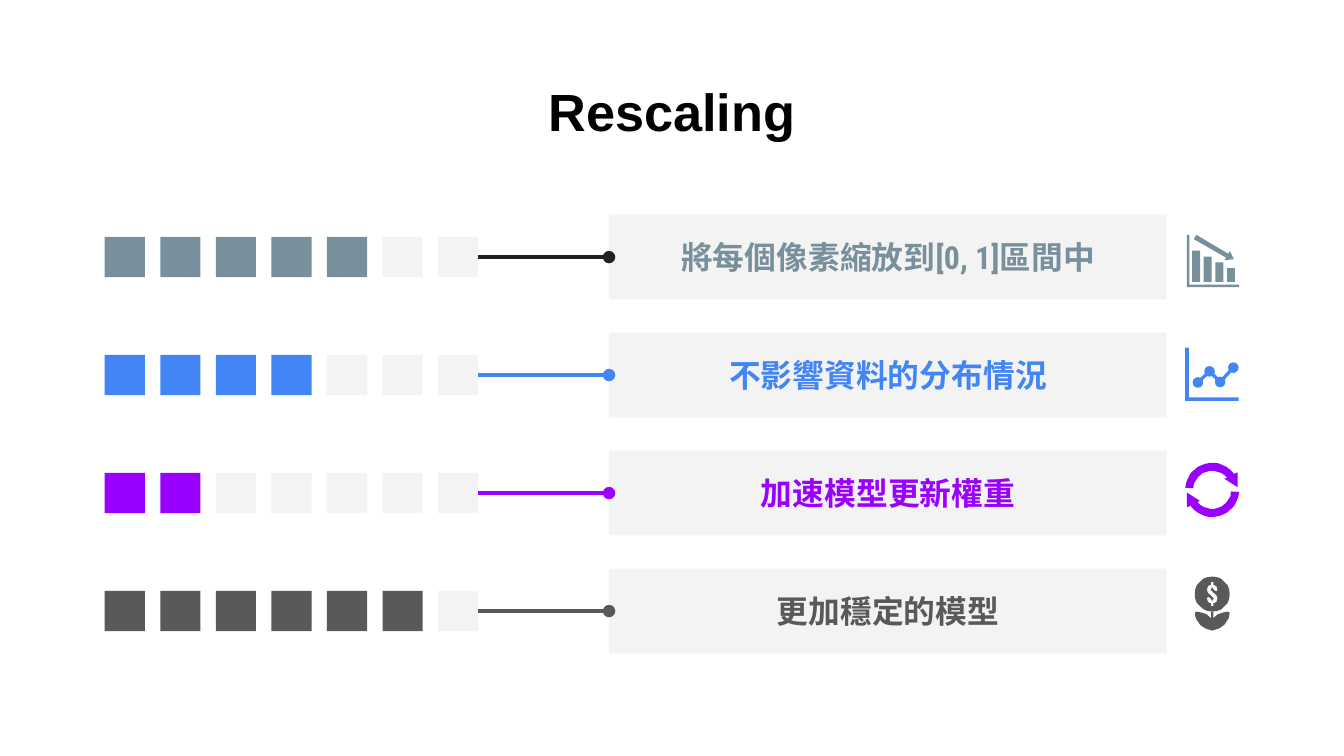
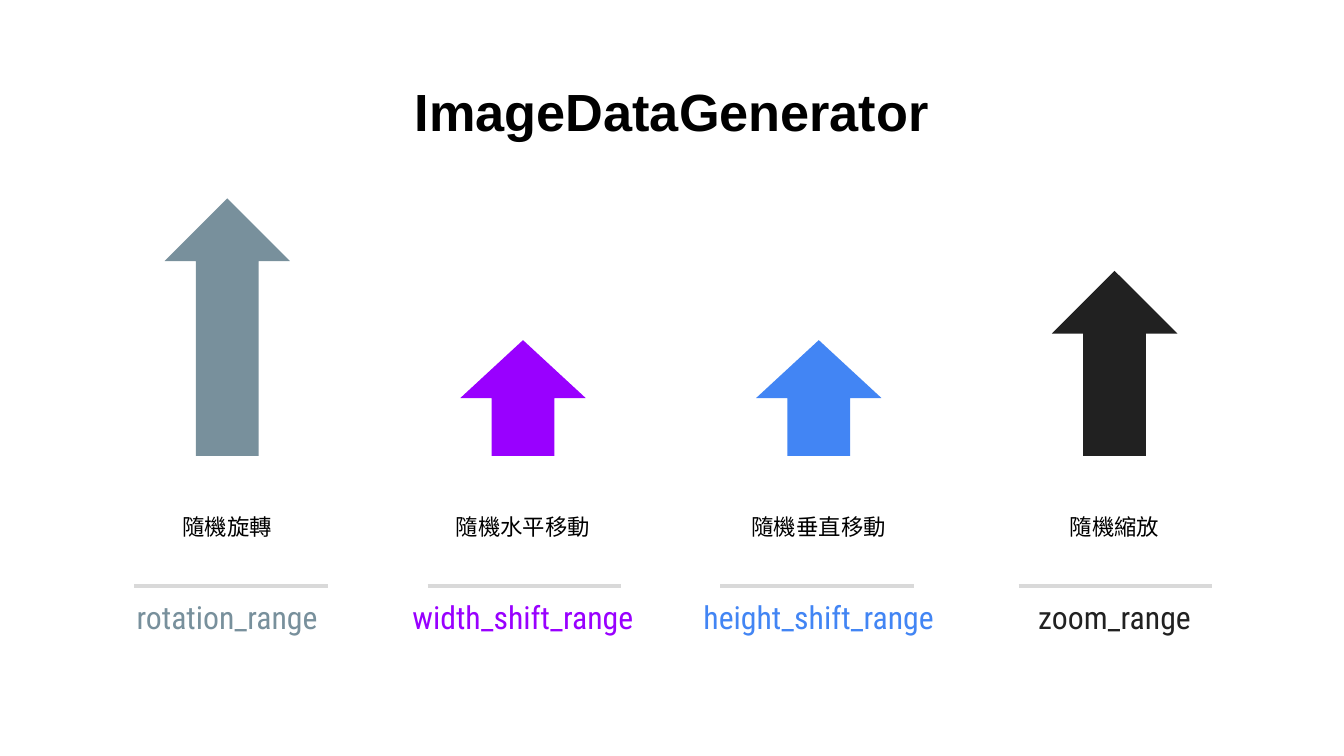
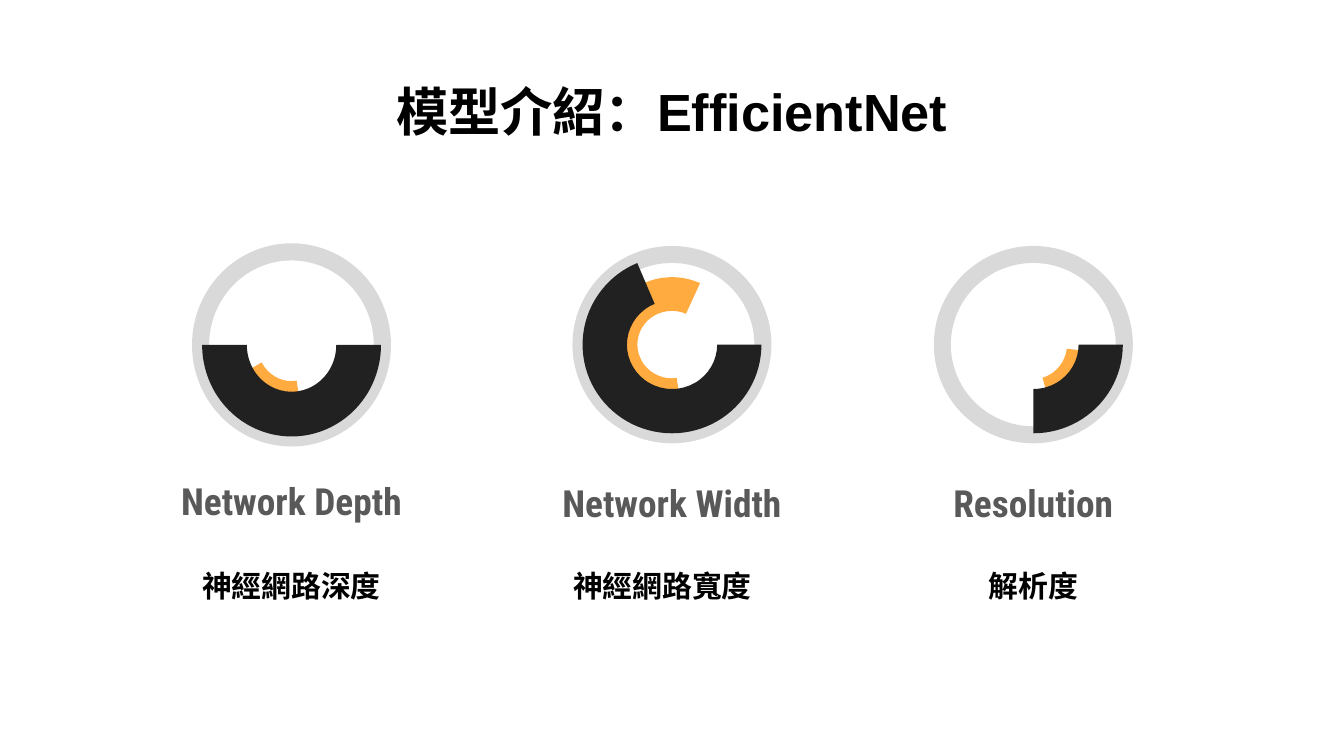
from collections import namedtuple
from math import cos, radians, sin

from lxml import etree
from pptx import Presentation
from pptx import util as u
from pptx.dml.color import RGBColor
from pptx.enum import shapes, text
from pptx.oxml.ns import qn

COLORS = {
    "black": "000000", "ink": "212121", "gray": "595959", "slate": "78909C",
    "blue": "4285F4", "purple": "9900FF", "orange": "FFAB40",
    "pale": "F3F3F3", "rule": "D9D9D9",
}
TITLE_FONT, BODY_FONT, LABEL_FONT = "Arial", "Roboto", "Roboto Condensed"
KIND = shapes.MSO_SHAPE
ICON_UNIT = u.Cm(0.01)

# All measures are centimetres
Box = namedtuple("Box", "left top width height")


def rgb(color):
    return RGBColor.from_string(COLORS[color])


# Shared building parts
def paint(shape, color):
    shape.shadow.inherit = False
    shape.fill.solid()
    shape.fill.fore_color.rgb = rgb(color)
    shape.line.fill.background()
    return shape


def add_shape(page, kind, box, color, adjustments=(), rotation=0):
    shape = page.shapes.add_shape(kind, *map(u.Cm, box))
    for index, value in enumerate(adjustments):
        shape.adjustments[index] = value
    shape.rotation = rotation
    return paint(shape, color)


def add_text(page, box, words, size, font, color, bold=False,
             anchor=text.MSO_ANCHOR.TOP, side=0.25, grow=False):
    frame = page.shapes.add_textbox(*map(u.Cm, box)).text_frame
    frame.word_wrap = True
    frame.vertical_anchor = anchor
    frame.margin_left = frame.margin_right = u.Cm(side)
    frame.margin_top = frame.margin_bottom = u.Cm(0.25)
    if grow:
        frame.auto_size = text.MSO_AUTO_SIZE.SHAPE_TO_FIT_TEXT
    frame.text = words
    para = frame.paragraphs[0]
    para.alignment = text.PP_ALIGN.CENTER
    for span in para.runs:
        span.font.name = font
        span.font.size = u.Pt(size)
        span.font.bold = bold
        span.font.color.rgb = rgb(color)


def add_line(page, start, end, color, dot=False):
    line = page.shapes.add_connector(
        shapes.MSO_CONNECTOR.STRAIGHT, *map(u.Cm, start + end))
    line.line.color.rgb = rgb(color)
    line.line.width = u.Pt(2.25)
    if dot:
        etree.SubElement(line.line._get_or_add_ln(), qn("a:tailEnd"), type="oval")
    etree.SubElement(line._element.spPr, qn("a:effectLst"))
    return line


def add_page(deck, title):
    page = deck.slides.add_slide(deck.slide_layouts[6])
    add_text(page, Box(0.86, 1.24, 23.67, 1.6), title, 28, TITLE_FONT, "black", True)
    return page


# Icons, outlined in hundredths of a centimetre from their top left corner
def draw_outline(page, box, contours, close=True):
    builder = page.shapes.build_freeform(*contours[0][0], scale=ICON_UNIT)
    builder.add_line_segments(contours[0][1:], close=close)
    for contour in contours[1:]:
        builder.move_to(*contour[0])
        builder.add_line_segments(contour[1:], close=close)
    return builder.convert_to_shape(u.Cm(box.left), u.Cm(box.top))


def arc(center, radius, start, end, steps=24):
    angles = [radians(start + (end - start) * i / steps) for i in range(steps + 1)]
    return [(center + radius * cos(a), center + radius * sin(a)) for a in angles]


def turned(points, center):
    return [(2 * center - x, 2 * center - y) for x, y in points]


def axes(size, thick):
    inner = size - thick
    return [(0, 0), (thick, 0), (thick, inner), (size, inner), (size, size), (0, size)]


def draw_bars_icon(page, box, color):
    bars = []
    for i in range(4):
        left, top = 10 + 22 * i, 30 + 11 * i
        bars.append([(left, top), (left + 15, top), (left + 15, 89), (left, 89)])
    arrow = [(18, 0), (79, 36), (81, 30), (89, 46), (71, 48), (74, 43), (13, 8)]
    paint(draw_outline(page, box, [axes(99, 5), arrow] + bars), color)


def draw_trend_icon(page, box, color):
    paint(draw_outline(page, box, [axes(101, 7)]), color)
    points = [(24, 66), (46, 45), (66, 65), (91, 38)]
    trend = draw_outline(page, box, [points], close=False)
    trend.shadow.inherit = False
    trend.fill.background()
    trend.line.color.rgb = rgb(color)
    trend.line.width = u.Pt(1.75)
    for x, y in points:
        dot = Box(box.left + x / 100 - 0.1, box.top + y / 100 - 0.1, 0.2, 0.2)
        add_shape(page, KIND.OVAL, dot, color)


def draw_cycle_icon(page, box, color):
    head = [(94, 20), (99, 18), (99, 46), (74, 30), (79, 28)]
    half = arc(51, 51, 184, 324) + head + arc(51, 36, 321, 184)
    paint(draw_outline(page, box, [half, turned(half, 51)]), color)


def draw_coin_plant_icon(page, box, color):
    dollar = [(31, 10), (35, 10), (35, 15), (41, 18), (43, 25), (41, 28), (36, 25),
              (33, 20), (30, 25), (35, 30), (41, 35), (43, 41), (41, 48), (35, 51)]
    leaf = [(31, 65), (31, 79), (28, 76), (22, 71), (13, 68), (3, 66), (0, 69),
            (2, 79), (10, 91), (20, 98), (33, 102)]
    leaves = leaf + [(66 - x, y) for x, y in reversed(leaf)]
    contours = [arc(33, 33, 0, 360), dollar + turned(dollar, 33), leaves]
    paint(draw_outline(page, box, contours), color)


# Rescaling: rows of squares leading to a panel
def draw_scale_row(page, box, words, color, filled, line_color):
    for i in range(7):
        square = add_shape(
            page, KIND.RECTANGLE,
            Box(box.left + 1.05 * i, box.top + 0.42, 0.76, 0.76),
            color if i < filled else "pale")
    panel_box = Box(box.left + 9.53, box.top, 10.54, box.height)
    panel = add_shape(page, KIND.RECTANGLE, panel_box, "pale")
    add_text(page, Box(panel_box.left + 0.4, box.top + 0.2, 9.75, 1.19), words, 17,
             LABEL_FONT, color, True, text.MSO_ANCHOR.MIDDLE)
    middle = box.top + box.height / 2
    link = add_line(page, (box.left + 7.06, middle), (panel_box.left, middle),
                    line_color, dot=True)
    link.begin_connect(square, 3)
    link.end_connect(panel, 1)


def build_rescaling(deck):
    page = add_page(deck, "Rescaling")
    rows = [
        ("將每個像素縮放到[0, 1]區間中", "slate", 5, "ink", draw_bars_icon, 20.45, 0.38),
        ("不影響資料的分布情況", "blue", 4, "blue", draw_trend_icon, 20.42, 0.28),
        ("加速模型更新權重", "purple", 2, "purple", draw_cycle_icon, 20.42, 0.23),
        ("更加穩定的模型", "gray", 6, "gray", draw_coin_plant_icon, 20.6, 0.15),
    ]
    for i, (words, color, filled, line_color, draw_icon, dx, dy) in enumerate(rows):
        box = Box(1.98, 4.06 + 2.23 * i, 21.46, 1.6)
        draw_scale_row(page, box, words, color, filled, line_color)
        draw_icon(page, Box(box.left + dx, box.top + dy, 1, 1), color)


# ImageDataGenerator: columns with an arrow above each parameter
def draw_parameter(page, box, name, words, color, arrow_height, rule_offset):
    arrow_width = 2.37
    arrow_base = box.top + 4.87
    rule_top = box.top + 7.32
    add_shape(page, KIND.UP_ARROW,
              Box(box.left + (box.width - arrow_width) / 2,
                  arrow_base - arrow_height, arrow_width, arrow_height), color)
    add_text(page, Box(box.left, box.top + 5.5, box.width, 1.4), words, 12,
             BODY_FONT, "black", anchor=text.MSO_ANCHOR.MIDDLE, side=0.76)
    add_text(page, Box(box.left, rule_top, box.width, 1.19), name, 17,
             LABEL_FONT, color, anchor=text.MSO_ANCHOR.MIDDLE)
    rule_left = box.left + rule_offset
    add_line(page, (rule_left, rule_top), (rule_left + 3.66, rule_top), "rule")


def build_generator(deck):
    page = add_page(deck, "ImageDataGenerator")
    parameters = [
        ("rotation_range", "隨機旋轉", "slate", 4.87, 0.91),
        ("width_shift_range", "隨機水平移動", "purple", 2.19, 0.86),
        ("height_shift_range", "隨機垂直移動", "blue", 2.19, 0.8),
        ("zoom_range", "隨機縮放", "ink", 3.5, 0.85),
    ]
    for i, parameter in enumerate(parameters):
        draw_parameter(page, Box(1.63 + 5.59 * i, 3.75, 5.33, 8.51), *parameter)


# EfficientNet: ring gauges with two captions
def draw_arc(page, box, inset, color, start, end, thickness, rotation):
    ring = Box(box.left + inset, box.top + inset,
               box.width - 2 * inset, box.height - 2 * inset)
    # Adjustments count 60000ths of a degree in units of 100000
    add_shape(page, KIND.BLOCK_ARC, ring, color,
              (start * 0.6, end * 0.6, thickness), rotation)


def draw_gauge(page, box, inner_end, inner_turn, outer_end):
    draw_arc(page, box, 0.59, "orange", 81.84, inner_end, 0.25, inner_turn)
    add_shape(page, KIND.DONUT, box, "rule", (0.086,))
    draw_arc(page, box, 0.19, "ink", 180, outer_end, 0.25, 180)


def draw_captions(page, box, name, name_width, words, font, shift):
    center = box.left + box.width / 2
    add_text(page, Box(center - name_width / 2, box.top + 4.18, name_width, 1.37),
             name, 20, LABEL_FONT, "gray", True, grow=True)
    add_text(page, Box(center + shift - 2.67, 10.49, 5.34, 1.19),
             words, 16, font, "black", True, grow=True)


def build_model(deck):
    page = add_page(deck, "模型介紹：EfficientNet")
    gauges = [
        (Box(3.63, 4.6, 3.76, 3.84), (149.43, 0, 0),
         ("Network Depth", 4.8, "神經網路深度", LABEL_FONT, 0)),
        (Box(10.82, 4.65, 3.76, 3.73), (294.55, 0, 66.94),
         ("Network Width", 4.72, "神經網路寬度", TITLE_FONT, -0.18)),
        (Box(17.65, 4.65, 3.76, 3.73), (149.43, 285, 270),
         ("Resolution", 3.94, "解析度", TITLE_FONT, 0)),
    ]
    for box, angles, captions in gauges:
        draw_gauge(page, box, *angles)
        draw_captions(page, box, *captions)


def main():
    deck = Presentation()
    deck.slide_width, deck.slide_height = u.Cm(25.4), u.Cm(14.29)
    build_rescaling(deck)
    build_generator(deck)
    build_model(deck)
    deck.save("out.pptx")


if __name__ == "__main__":
    main()
